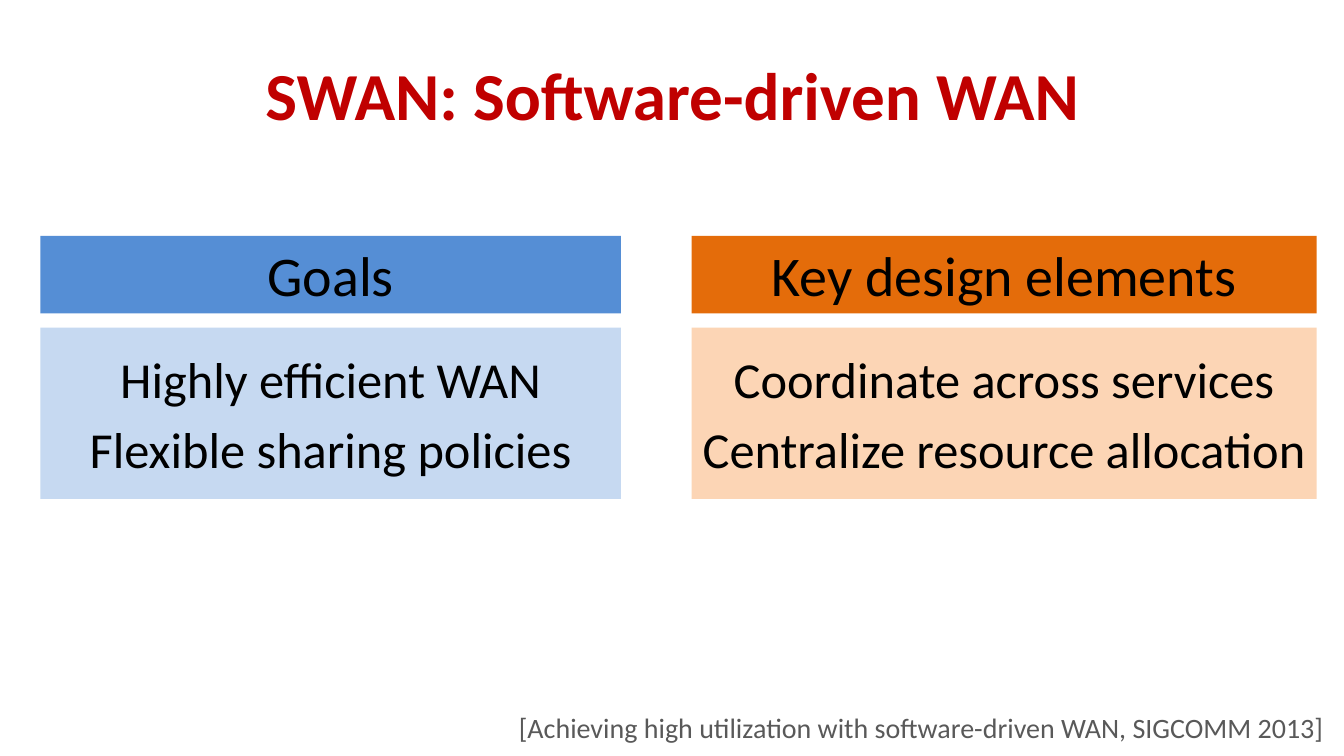
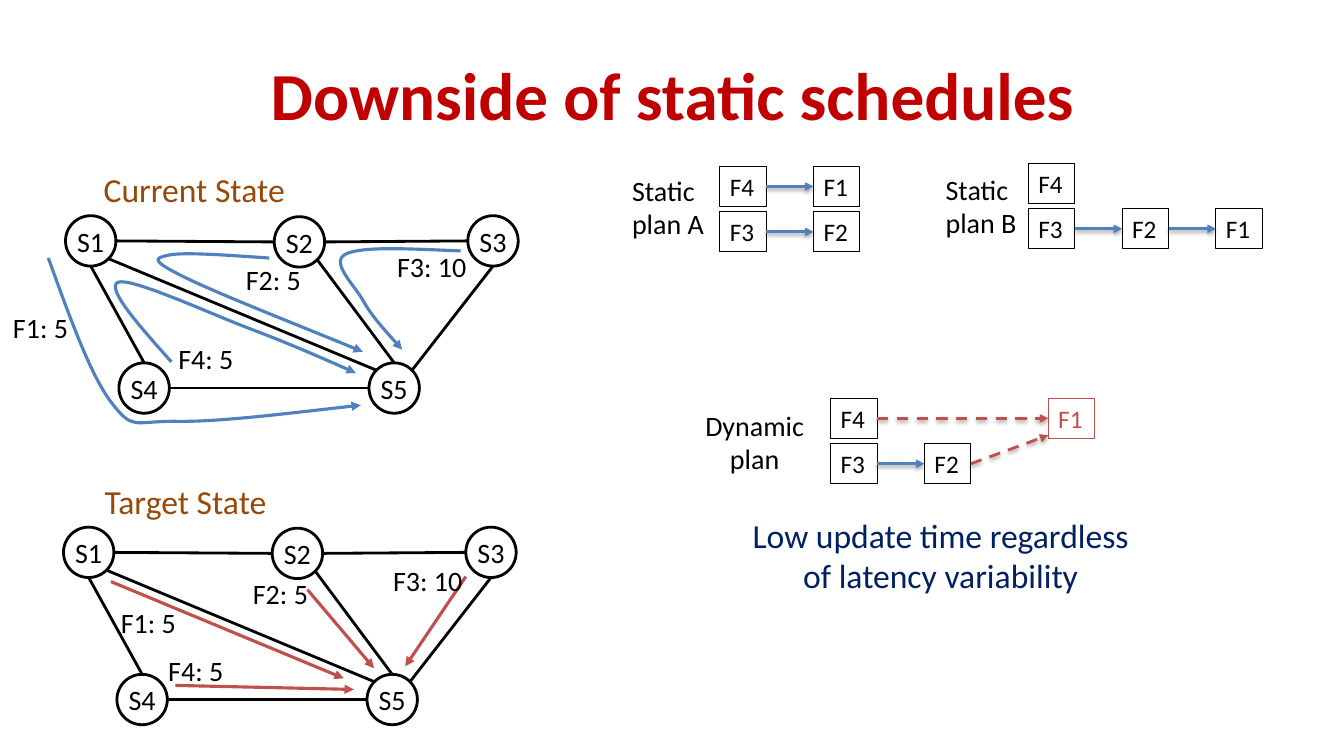
from pptx import Presentation
from pptx import util as u
from pptx.dml.color import RGBColor
from pptx.enum import dml, shapes, text
from pptx.oxml import parse_xml
from pptx.oxml.ns import nsdecls, qn

CELL = u.Inches(0.1)
COLS, ROWS = 133.3, 75
FONT = "Calibri"
COLORS = {
    "title": "C00000", "ink": "000000", "note": "595959", "state": "984807",
    "claim": "002060", "blue": "4F81BD", "red": "C0504D",
    "goal_head": "558ED5", "goal_body": "C6D9F1",
    "design_head": "E46C0A", "design_body": "FCD5B5",
}
LEFT, CENTER, RIGHT = (text.PP_ALIGN.LEFT, text.PP_ALIGN.CENTER,
                       text.PP_ALIGN.RIGHT)
TOP, MIDDLE = text.MSO_ANCHOR.TOP, text.MSO_ANCHOR.MIDDLE

RADIUS = 2.5
DIAGONAL = 0.5 ** 0.5
SITES = {
    "top": (0, -1), "bottom": (0, 1), "left": (-1, 0), "right": (1, 0),
    "top_left": (-DIAGONAL, -DIAGONAL), "top_right": (DIAGONAL, -DIAGONAL),
    "bottom_right": (DIAGONAL, DIAGONAL),
}
NODES = {"S1": (9, 23.9), "S2": (29.7, 24), "S3": (48.9, 23.9),
         "S4": (14.3, 38.5), "S5": (39.1, 38.5)}
LINKS = [
    ("S1", "right", "S2", "left"), ("S2", "right", "S3", "left"),
    ("S1", "bottom_right", "S5", "top_left"), ("S1", "bottom", "S4", "top"),
    ("S2", "bottom_right", "S5", "top"), ("S3", "bottom", "S5", "top_right"),
    ("S4", "right", "S5", "left"),
]
TARGET_SHIFT = (-0.2, 30.9)
BOX_W, BOX_H = 4.6, 4
BOX_STEP_X, BOX_STEP_Y = 9.3, 4.5


def cells(*values):
    return [u.Emu(round(v * CELL)) for v in values]


def rgb(name):
    return RGBColor.from_string(COLORS[name])


def write(tf, lines, size, color="ink", align=LEFT, anchor=TOP, bold=False,
          before=0, inset=None):
    tf.word_wrap = True
    tf.vertical_anchor = anchor
    if inset is not None:
        tf.margin_left = tf.margin_right = cells(inset[0])[0]
        tf.margin_top = tf.margin_bottom = cells(inset[1])[0]
    for i, line in enumerate(lines):
        p = tf.add_paragraph() if i else tf.paragraphs[0]
        p.alignment = align
        p.space_before = u.Pt(before)
        r = p.add_run()
        r.text = line
        r.font.name = FONT
        r.font.size = u.Pt(size)
        r.font.bold = bold
        r.font.color.rgb = rgb(color)


def add_slide(prs, title):
    s = prs.slides.add_slide(prs.slide_layouts[5])
    sp = s.shapes.title
    sp.left, sp.top, sp.width, sp.height = cells(6.7, 3, 120, 12.5)
    write(sp.text_frame, [title], 48, "title", CENTER, MIDDLE, bold=True)
    return s


def label(s, at, line, size=20, color="ink", **style):
    sp = s.shapes.add_textbox(*cells(*at))
    write(sp.text_frame, [line], size, color, **style)
    return sp


def block(s, at, lines, size, fill=None, line=None, width=0.75,
          kind=shapes.MSO_SHAPE.RECTANGLE, **style):
    sp = s.shapes.add_shape(kind, *cells(*at))
    sp.shadow.inherit = False
    if fill:
        sp.fill.solid()
        sp.fill.fore_color.rgb = rgb(fill)
    else:
        sp.fill.background()
    if line:
        sp.line.color.rgb = rgb(line)
        sp.line.width = u.Pt(width)
    else:
        sp.line.fill.background()
    write(sp.text_frame, lines, size, **style)


def add_arrowhead(sp):
    sp.line._get_or_add_ln().append(
        parse_xml(f'<a:tailEnd {nsdecls("a")} type="triangle"/>'))


def connect(s, start, end, color="ink", arrow=False, dashed=False):
    sp = s.shapes.add_connector(shapes.MSO_CONNECTOR.STRAIGHT,
                                *cells(*start, *end))
    sp.line.color.rgb = rgb(color)
    sp.line.width = u.Pt(2)
    if dashed:
        sp.line.dash_style = dml.MSO_LINE.DASH
    shadow = ""
    if arrow:
        add_arrowhead(sp)
        shadow = ('<a:outerShdw blurRad="39370" dist="20320" dir="5400000" '
                  'rotWithShape="0"><a:srgbClr val="000000">'
                  '<a:alpha val="38000"/></a:srgbClr></a:outerShdw>')
    sp._element.spPr.append(parse_xml(
        f'<a:effectLst {nsdecls("a")}>{shadow}</a:effectLst>'))


def flow(s, points, color, curved=False):
    start, *rest = [cells(*p) for p in points]
    builder = s.shapes.build_freeform(*start)
    builder.add_line_segments(rest, close=False)
    sp = builder.convert_to_shape()
    sp.shadow.inherit = False
    sp.fill.background()
    sp.line.color.rgb = rgb(color)
    sp.line.width = u.Pt(2.25)
    add_arrowhead(sp)
    if curved:
        segments = list(sp._element.iter(qn("a:lnTo")))
        for i in range(0, len(segments), 3):
            curve = parse_xml(f'<a:cubicBezTo {nsdecls("a")}/>')
            segments[i].addprevious(curve)
            for segment in segments[i:i + 3]:
                curve.append(segment[0])
                segment.getparent().remove(segment)


def network(s, heading, heading_at, shift=(0, 0)):
    centers = {n: (x + shift[0], y + shift[1]) for n, (x, y) in NODES.items()}

    def rim(node, site):
        return [c + RADIUS * d for c, d in zip(centers[node], SITES[site])]

    label(s, heading_at, heading, 24, "state")
    for a, a_site, b, b_site in LINKS:
        connect(s, rim(a, a_site), rim(b, b_site))
    for name, (x, y) in centers.items():
        block(s, (x - RADIUS, y - RADIUS, 2 * RADIUS, 2 * RADIUS), [name], 20,
              line="ink", width=2, kind=shapes.MSO_SHAPE.OVAL, align=CENTER,
              anchor=MIDDLE, inset=(0, 0))


def flow_labels(s, places):
    for name, (x, y) in places.items():
        label(s, (x, y, 12, 4.4), name)


def plan(s, name, name_at, origin, boxes, arrows, align=LEFT, late=()):
    label(s, name_at, name, align=align)
    corners = {}
    for box, (col, row) in boxes.items():
        x, y = origin[0] + col * BOX_STEP_X, origin[1] + row * BOX_STEP_Y
        corners[box] = x, y
        color = "red" if box in late else "ink"
        block(s, (x, y, BOX_W, BOX_H), [box], 18, line=color, color=color)
    for a, b, share in arrows:
        (ax, ay), (bx, by) = corners[a], corners[b]
        connect(s, (ax + BOX_W, ay + BOX_H / 2), (bx, by + BOX_H * share),
                "red" if b in late else "blue", True, b in late)


def goals_slide(prs):
    s = add_slide(prs, "SWAN: Software-driven WAN")
    columns = [
        (4, 57.6, "goal", "Goals",
         ["Highly efficient WAN", "Flexible sharing policies"]),
        (68.6, 62, "design", "Key design elements",
         ["Coordinate across services", "Centralize resource allocation"]),
    ]
    for x, w, theme, heading, lines in columns:
        block(s, (x, 23.4, w, 7.7), [heading], 40, theme + "_head",
              align=CENTER)
        block(s, (x, 32.5, w, 17), lines, 36, theme + "_body", align=CENTER,
              anchor=MIDDLE, before=7.2)
    note = label(s, (39.2, 69.4, 94.1, 5.6),
                 "[Achieving high utilization with software-driven WAN, "
                 "SIGCOMM 2013]", 20, "note", align=RIGHT, inset=(2, 1.6))
    p = note.text_frame.paragraphs[0]
    p.line_spacing = 0.9
    p.space_after = u.Pt(6)


def schedules_slide(prs):
    s = add_slide(prs, "Downside of static schedules")

    network(s, "Current State", (9.3, 16.3, 22, 5))
    flow_labels(s, {"F1: 5": (0.3, 30.3), "F2: 5": (23.4, 25.6),
                    "F3: 10": (38.4, 24.3), "F4: 5": (16.7, 33.4)})
    current_flows = [
        [(17, 35.9), (13.7, 32.2), (10.5, 28.6), (11.7, 28), (13, 27.5),
         (20.6, 31), (24.5, 32.5), (28.5, 34), (31.9, 35.5), (35.3, 37)],
        [(26.7, 25.6), (22.4, 25.3), (18.2, 25), (16.8, 25.3), (15.3, 25.6),
         (14.9, 25.8), (18.1, 27.4), (21.3, 29), (28.7, 31.9), (36, 34.9)],
        [(4.8, 25.6), (6.9, 31.4), (9, 37.3), (11.1, 40), (13.2, 42.7),
         (13.2, 41.8), (17.3, 41.8), (21.5, 41.9), (28.6, 41), (35.8, 40.2)],
        [(45.7, 24.9), (40.8, 24.7), (36, 24.4), (34.3, 25.2), (32.7, 26),
         (35.1, 28.2), (36, 29.8), (36.9, 31.4), (38.4, 33), (39.9, 34.7)],
    ]
    for points in current_flows:
        flow(s, points, "blue", curved=True)

    network(s, "Target State", (9.4, 47.2, 22, 5), TARGET_SHIFT)
    target_flows = [
        [(46.2, 57.2), (40.2, 66.1)], [(17.4, 68), (35.1, 68.4)],
        [(30.5, 58.5), (37.1, 66.3)], [(11, 57.7), (34.1, 67.3)],
    ]
    for points in target_flows:
        flow(s, points, "red")
    flow_labels(s, {"F1: 5": (11, 59.6), "F2: 5": (24.1, 56.7),
                    "F3: 10": (38, 55.4), "F4: 5": (15.7, 64.3)})

    plan(s, "Static plan A", (61.7, 16.7, 9.5, 7.7), (71.4, 16.5),
         {"F4": (0, 0), "F1": (1, 0), "F3": (0, 1), "F2": (1, 1)},
         [("F4", "F1", 0.5), ("F3", "F2", 0.5)])
    plan(s, "Static plan B", (92.8, 16.6, 9.3, 7.7), (102, 16.2),
         {"F4": (0, 0), "F3": (0, 1), "F2": (1, 1), "F1": (2, 1)},
         [("F3", "F2", 0.5), ("F2", "F1", 0.5)])
    plan(s, "Dynamic plan", (68.8, 40, 12.1, 7.7), (82.4, 39.5),
         {"F4": (0, 0), "F3": (0, 1), "F2": (1, 1), "F1": (2.32, 0)},
         [("F3", "F2", 0.5), ("F4", "F1", 0.5), ("F2", "F1", 0.92)],
         align=CENTER, late=("F1",))
    label(s, (72, 50.6, 42.6, 9.1),
          "Low update time regardless of latency variability", 24, "claim",
          align=CENTER)


def main():
    prs = Presentation()
    prs.slide_width, prs.slide_height = cells(COLS, ROWS)
    goals_slide(prs)
    schedules_slide(prs)
    prs.save("out.pptx")


if __name__ == "__main__":
    main()
